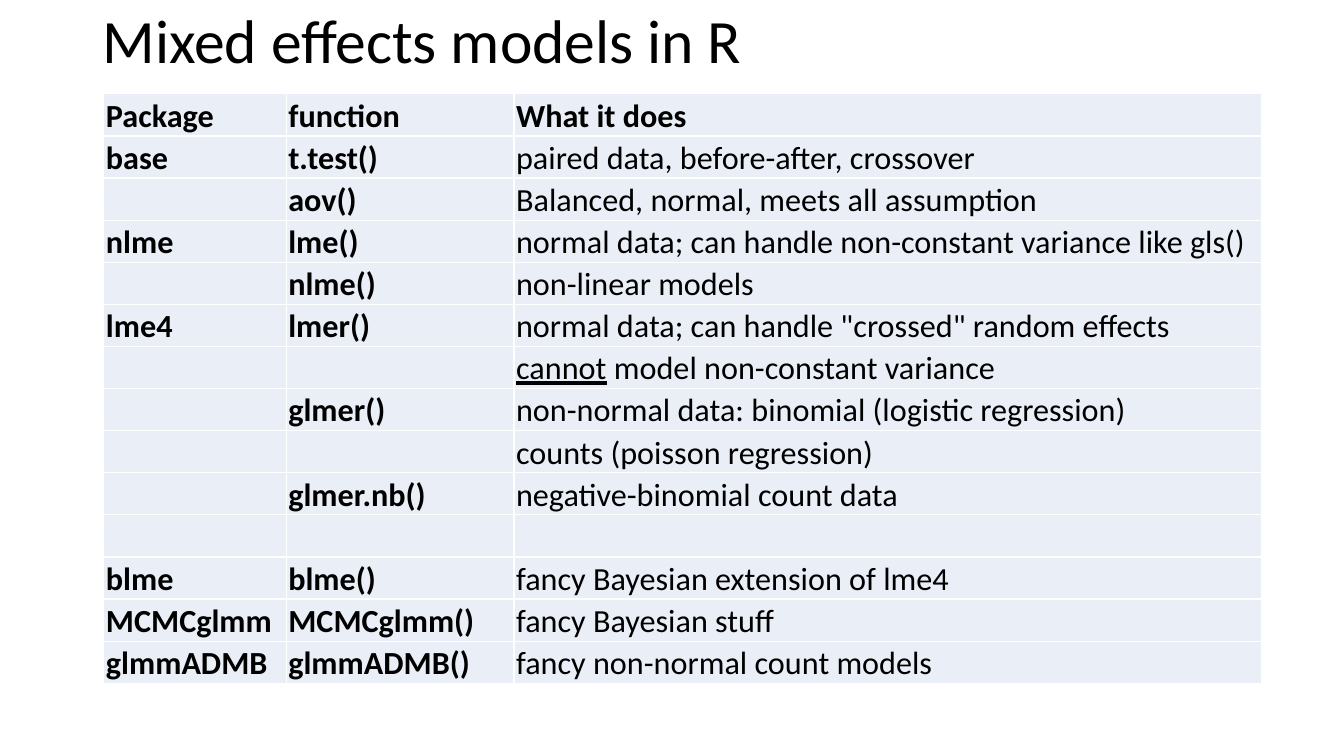
from lxml.etree import SubElement
from pptx import Presentation
from pptx.dml.color import RGBColor
from pptx.enum.text import MSO_ANCHOR as Anchor, MSO_AUTO_SIZE as AutoSize, PP_ALIGN as Align
from pptx.oxml.ns import qn
from pptx.util import Pt

TITLE = "Mixed effects models in R"
ROWS = [
    ("Package", "function", "What it does"),
    ("base", "t.test()", "paired data, before-after, crossover"),
    ("", "aov()", "Balanced, normal, meets all assumption"),
    ("nlme", "lme()", "normal data; can handle non-constant variance like gls()"),
    ("", "nlme()", "non-linear models"),
    ("lme4", "lmer()", 'normal data; can handle "crossed" random effects'),
    ("", "", "cannot model non-constant variance"),
    ("", "glmer()", "non-normal data: binomial (logistic regression)"),
    ("", "", "counts (poisson regression)"),
    ("", "glmer.nb()", "negative-binomial count data"),
    ("", "", ""),
    ("blme", "blme()", "fancy Bayesian extension of lme4"),
    ("MCMCglmm", "MCMCglmm()", "fancy Bayesian stuff"),
    ("glmmADMB", "glmmADMB()", "fancy non-normal count models"),
]
UNDERLINED = "cannot"

COLORS = {"text": "000000", "cell": "EAEFF7", "border": "FFFFFF"}
FONT = "Calibri"
COLUMN_WIDTHS = (130.3, 162.7, 534.2)
ROW_HEIGHT = 30.1
TABLE_LEFT, TABLE_TOP = 74.2, 67
TITLE_BOX = {"left": 66, "top": -20.9, "width": 828, "height": 104.4}
CELL_FORMAT = {
    "margin_left": Pt(1.5), "margin_right": Pt(1.5),
    "margin_top": Pt(1.5), "margin_bottom": Pt(0),
    "vertical_anchor": Anchor.BOTTOM,
}


def apply_format(target, values):
    for name, value in values.items():
        setattr(target, name, value)


def add_span(para, text, size, **values):
    span = para.add_run()
    span.text = text
    apply_format(span.font, {"name": FONT, "size": Pt(size), **values})
    span.font.color.rgb = RGBColor.from_string(COLORS["text"])


def add_borders(cell):
    properties = cell._tc.get_or_add_tcPr()
    for side in ("a:lnL", "a:lnR", "a:lnT", "a:lnB"):
        line = SubElement(properties, qn(side), w=str(Pt(1)))
        fill = SubElement(line, qn("a:solidFill"))
        SubElement(fill, qn("a:srgbClr"), val=COLORS["border"])


def add_title(page):
    box = page.shapes.title
    apply_format(box, {name: Pt(value) for name, value in TITLE_BOX.items()})
    apply_format(box.text_frame, {
        "vertical_anchor": Anchor.MIDDLE, "word_wrap": True, "auto_size": AutoSize.NONE})
    para = box.text_frame.paragraphs[0]
    apply_format(para, {"alignment": Align.LEFT, "line_spacing": 0.9})
    add_span(para, TITLE, 44)


def fill_cell(cell, text, bold):
    apply_format(cell, CELL_FORMAT)
    add_borders(cell)
    cell.fill.solid()
    cell.fill.fore_color.rgb = RGBColor.from_string(COLORS["cell"])
    para = cell.text_frame.paragraphs[0]
    before, word, after = text.partition(UNDERLINED)
    for part in (before, word, after):
        if part:
            add_span(para, part, 23, bold=bold, underline=part == UNDERLINED)


def add_package_table(page):
    table = page.shapes.add_table(
        len(ROWS), len(COLUMN_WIDTHS), Pt(TABLE_LEFT), Pt(TABLE_TOP),
        Pt(sum(COLUMN_WIDTHS)), Pt(ROW_HEIGHT * len(ROWS))).table
    apply_format(table, {"first_row": False, "horz_banding": False})
    for column, width in zip(table.columns, COLUMN_WIDTHS):
        column.width = Pt(width)
    for row_index, texts in enumerate(ROWS):
        table.rows[row_index].height = Pt(ROW_HEIGHT)
        for column_index, text in enumerate(texts):
            bold = row_index == 0 or column_index < 2
            fill_cell(table.cell(row_index, column_index), text, bold)


def main():
    deck = Presentation()
    deck.slide_width, deck.slide_height = Pt(960), Pt(540)
    page = deck.slides.add_slide(deck.slide_layouts.get_by_name("Title Only"))
    add_title(page)
    add_package_table(page)
    deck.save("out.pptx")


if __name__ == "__main__":
    main()
